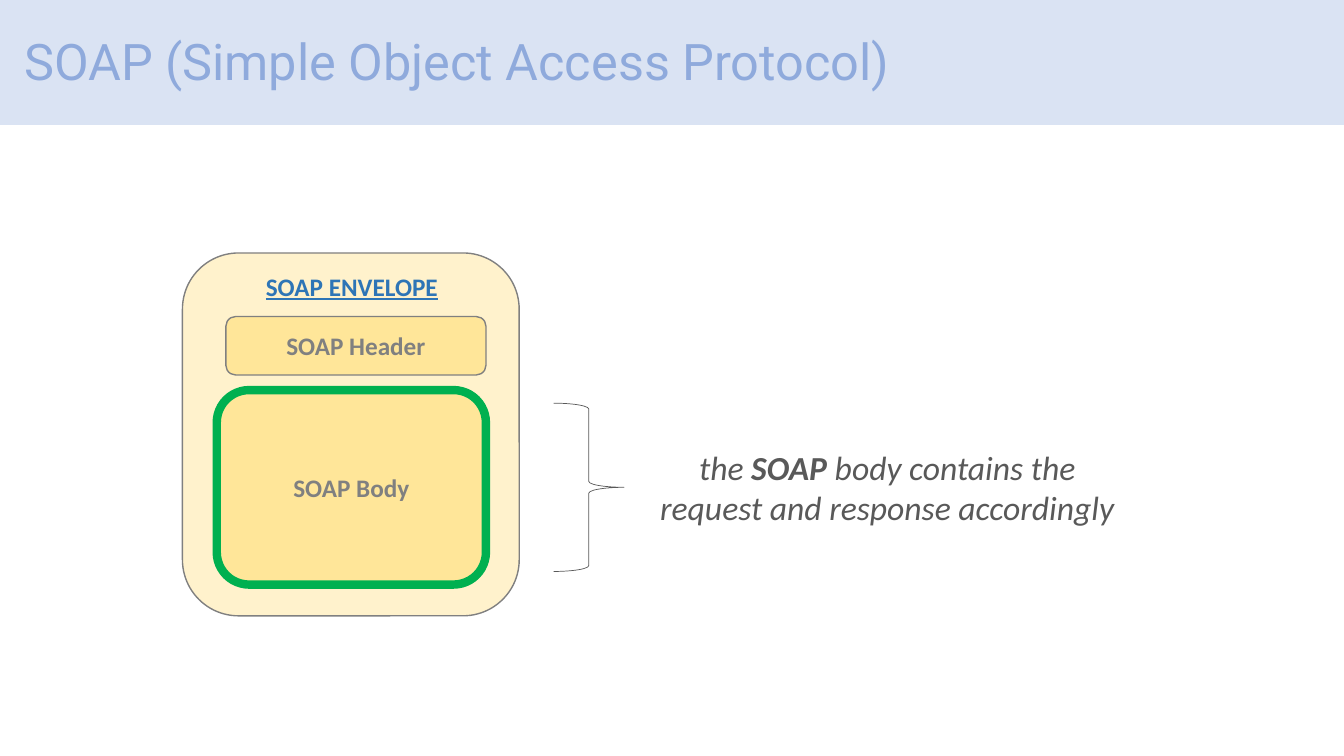
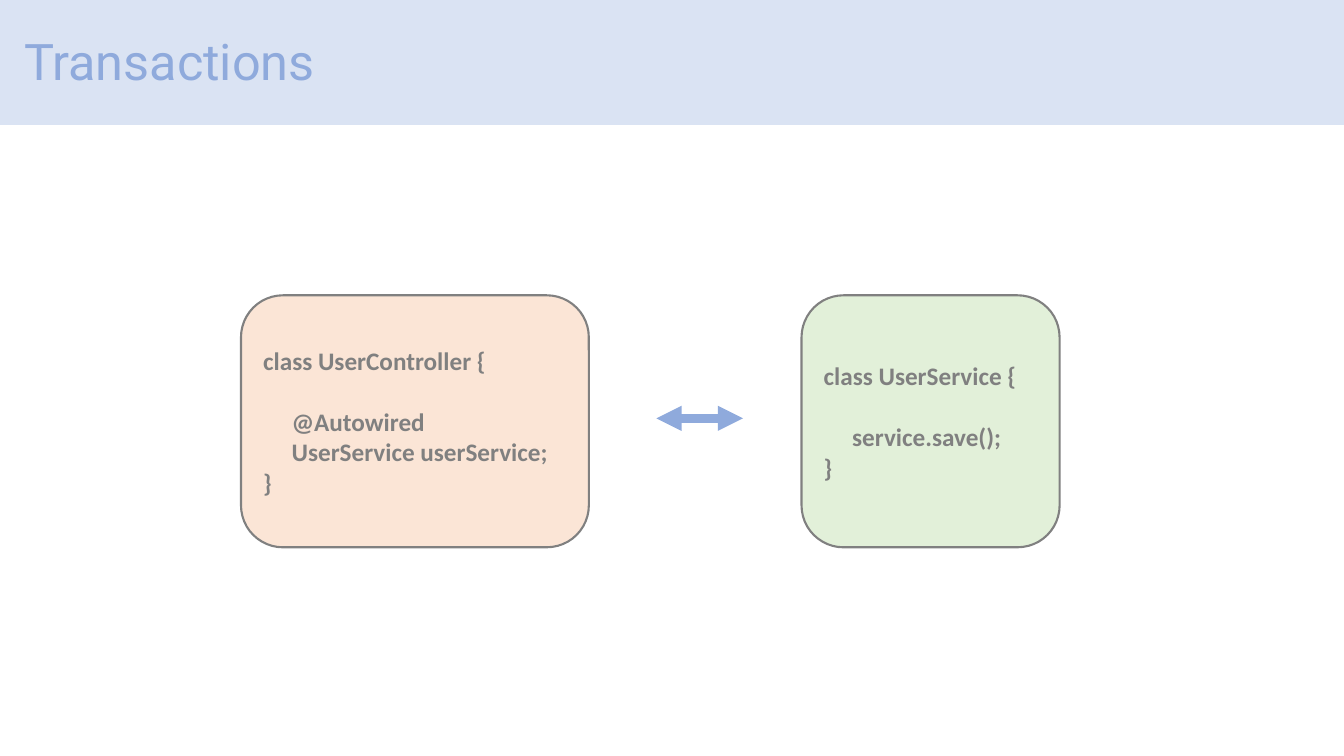
from dataclasses import dataclass

from lxml import etree
from pptx import Presentation
from pptx.dml.color import RGBColor
from pptx.enum.shapes import MSO_CONNECTOR as CONNECTOR, MSO_SHAPE as SHAPE
from pptx.enum.text import MSO_ANCHOR as ANCHOR, MSO_AUTO_SIZE as AUTO_SIZE, PP_ALIGN as ALIGN
from pptx.oxml.ns import qn
from pptx.util import Inches, Pt


@dataclass(frozen=True)
class Theme:
    band: str = "DAE3F3"
    accent: str = "8FAADC"
    grey: str = "808080"
    dark: str = "595959"
    heading: str = "2E75B6"
    highlight: str = "00B050"
    envelope: str = "FFF2CC"
    section: str = "FFE699"
    controller: str = "FBE5D6"
    service: str = "E2F0D9"
    title_font: str = "Roboto"
    body_font: str = "Calibri"
    title_size: int = 36
    note_size: int = 24
    label_size: int = 18
    code_line: int = 22


THEME = Theme()
SLIDE_WIDTH, SLIDE_HEIGHT = 13.33, 7.5
TITLE_ONLY = 5


def rgb(colour):
    return RGBColor.from_string(colour)


def style_font(font, size, colour, name=THEME.body_font, **flags):
    font.name, font.size = name, Pt(size)
    font.color.rgb = rgb(colour)
    for flag, value in flags.items():
        setattr(font, flag, value)


def add_outline(slide, kind, box, fill=None, line=None, width=1):
    """Add a preset shape; box is left, top, width, height in inches."""
    shape = slide.shapes.add_shape(kind, *map(Inches, box))
    shape.shadow.inherit = False
    if fill:
        shape.fill.solid()
        shape.fill.fore_color.rgb = rgb(fill)
    else:
        shape.fill.background()
    if line:
        shape.line.color.rgb = rgb(line)
        shape.line.width = Pt(width)
    else:
        shape.line.fill.background()
    return shape


def add_titled_slide(prs, text):
    slide = prs.slides.add_slide(prs.slide_layouts[TITLE_ONLY])
    title = slide.shapes.title
    band = add_outline(slide, SHAPE.RECTANGLE, (0, 0, SLIDE_WIDTH, 1.24), THEME.band)
    title.element.addprevious(band.element)

    title.left, title.top = Inches(0.14), Inches(-0.09)
    title.width, title.height = Inches(11.5), Inches(1.45)
    frame = title.text_frame
    frame.text = text
    frame.auto_size = AUTO_SIZE.NONE
    frame.vertical_anchor = ANCHOR.MIDDLE
    paragraph = frame.paragraphs[0]
    paragraph.alignment = ALIGN.LEFT
    paragraph.line_spacing = 0.9
    style_font(paragraph.runs[0].font, THEME.title_size, THEME.accent, THEME.title_font)
    return slide


def add_label_box(slide, box, text, line=THEME.grey, width=1):
    section = add_outline(slide, SHAPE.ROUNDED_RECTANGLE, box, THEME.section, line, width)
    frame = section.text_frame
    frame.text = text
    frame.vertical_anchor = ANCHOR.MIDDLE
    paragraph = frame.paragraphs[0]
    paragraph.alignment = ALIGN.CENTER
    style_font(paragraph.runs[0].font, THEME.label_size, THEME.grey, bold=True)


def add_code_box(slide, box, fill, code):
    """Add a class listing; the first line stands one line apart from the rest."""
    class_box = add_outline(slide, SHAPE.ROUNDED_RECTANGLE, box, fill, THEME.grey, 1.5)
    frame = class_box.text_frame
    frame.text = "\n".join(code)
    frame.vertical_anchor = ANCHOR.MIDDLE
    for paragraph in frame.paragraphs:
        paragraph.alignment = ALIGN.LEFT
        style_font(paragraph.runs[0].font, THEME.label_size, THEME.grey, bold=True)
    frame.paragraphs[1].space_before = Pt(THEME.code_line)


def add_text(slide, box, lines, size, colour, **flags):
    """Add centred lines, each a list of (text, is bold) runs."""
    frame = slide.shapes.add_textbox(*map(Inches, box)).text_frame
    frame.word_wrap = False
    for index, runs in enumerate(lines):
        paragraph = frame.add_paragraph() if index else frame.paragraphs[0]
        paragraph.alignment = ALIGN.CENTER
        for text, bold in runs:
            run = paragraph.add_run()
            run.text = text
            style_font(run.font, size, colour, bold=bold, **flags)


def add_double_arrow(slide, left, right, y):
    arrow = slide.shapes.add_connector(
        CONNECTOR.STRAIGHT, Inches(left), Inches(y), Inches(right), Inches(y))
    arrow.line.color.rgb = rgb(THEME.accent)
    arrow.line.width = Pt(6)
    properties = arrow.element.spPr
    line = properties.find(qn("a:ln"))
    for end in ("a:headEnd", "a:tailEnd"):
        etree.SubElement(line, qn(end), type="triangle")
    etree.SubElement(properties, qn("a:effectLst"))


def build_soap(prs):
    slide = add_titled_slide(prs, "SOAP (Simple Object Access Protocol)")
    add_outline(slide, SHAPE.ROUNDED_RECTANGLE, (1.81, 2.51, 3.34, 3.6),
                THEME.envelope, THEME.grey)
    add_text(slide, (2.53, 2.64, 1.92, 0.4), [[("SOAP ENVELOPE", True)]],
             THEME.label_size, THEME.heading, underline=True)
    add_label_box(slide, (2.15, 3.87, 2.67, 1.93), "SOAP Body", THEME.highlight, 6)
    add_label_box(slide, (2.24, 3.14, 2.58, 0.58), "SOAP Header")
    add_outline(slide, SHAPE.RIGHT_BRACE, (5.49, 4, 0.7, 1.67), line=THEME.dark, width=0.5)
    note = [[("the ", False), ("SOAP", True), (" body contains the", False)],
            [("request and response accordingly", False)]]
    add_text(slide, (6.42, 4.38, 4.76, 0.91), note, THEME.note_size, THEME.dark, italic=True)


def build_transactions(prs):
    slide = add_titled_slide(prs, "Transactions")
    top, height = 2.93, 2.5
    add_code_box(slide, (2.39, top, 3.45, height), THEME.controller,
                 ["class UserController {", "     @Autowired",
                  "     UserService userService;", "}"])
    add_double_arrow(slide, 6.51, 7.37, 4.15)
    add_code_box(slide, (7.95, top, 2.56, height), THEME.service,
                 ["class UserService {", "     service.save();", "}"])


def main():
    prs = Presentation()
    prs.slide_width, prs.slide_height = Inches(SLIDE_WIDTH), Inches(SLIDE_HEIGHT)
    build_soap(prs)
    build_transactions(prs)
    prs.save("out.pptx")


if __name__ == "__main__":
    main()
